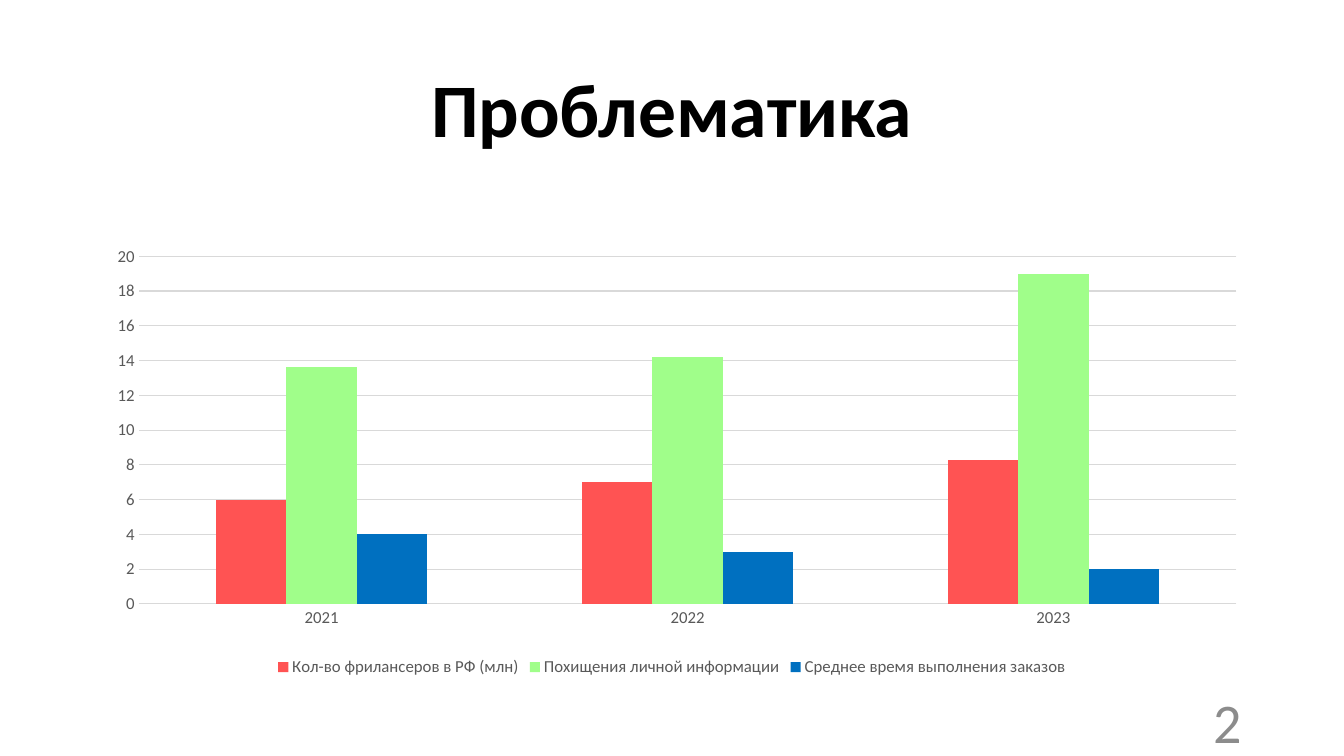
from dataclasses import dataclass

from lxml import etree
from pptx import Presentation
from pptx import util as u
from pptx.chart.data import CategoryChartData
from pptx.dml.color import RGBColor
from pptx.enum import chart as ch, text
from pptx.oxml import ns


@dataclass(frozen=True)
class Theme:
    font: str = "Calibri"
    title_size: int = 54
    number_size: int = 40
    label_size: int = 12
    ink: str = "000000"
    label: str = "595959"
    number: str = "8C8C8C"
    grid: str = "D9D9D9"
    series: tuple = ("FF5353", "A0FE8A", "0070C0")


class SlideBuilder:
    def __init__(self, slide, theme):
        self.slide = slide
        self.theme = theme

    def style_font(self, font, size, color, bold=False):
        font.name = self.theme.font
        font.size = u.Pt(size)
        font.bold = bold
        font.color.rgb = RGBColor.from_string(color)

    def style_line(self, line):
        line.color.rgb = RGBColor.from_string(self.theme.grid)
        line.width = u.Pt(0.75)

    def add_text(self, box, words, size, color, align, bold=False, spacing=1.0):
        frame = self.slide.shapes.add_textbox(*map(u.Pt, box)).text_frame
        frame.word_wrap = True
        frame.vertical_anchor = text.MSO_ANCHOR.MIDDLE
        paragraph = frame.paragraphs[0]
        paragraph.alignment = align
        paragraph.line_spacing = spacing
        run = paragraph.add_run()
        run.text = words
        self.style_font(run.font, size, color, bold)

    def add_columns(self, box, years, measures, plot_area):
        theme = self.theme
        data = CategoryChartData()
        data.categories = years
        for name, values in measures.items():
            data.add_series(name, values)
        chart = self.slide.shapes.add_chart(
            ch.XL_CHART_TYPE.COLUMN_CLUSTERED, *map(u.Pt, box), data).chart
        chart.has_title = False
        self.style_font(chart.font, theme.label_size, theme.label)

        # Columns
        columns = chart.plots[0]
        columns.gap_width = 219
        columns.vary_by_categories = False
        for measure, color in zip(columns.series, theme.series):
            measure.format.fill.solid()
            measure.format.fill.fore_color.rgb = RGBColor.from_string(color)

        # Axes and grid
        for axis in (chart.category_axis, chart.value_axis):
            axis.major_tick_mark = axis.minor_tick_mark = ch.XL_TICK_MARK.NONE
            self.style_font(axis.tick_labels.font, theme.label_size, theme.label)
        self.style_line(chart.category_axis.format.line)
        scale = chart.value_axis
        scale.minimum_scale, scale.maximum_scale, scale.major_unit = 0, 20, 2
        scale.format.line.fill.background()
        scale.has_major_gridlines = True
        self.style_line(scale.major_gridlines.format.line)

        # Legend
        chart.has_legend = True
        chart.legend.position = ch.XL_LEGEND_POSITION.BOTTOM
        chart.legend.include_in_layout = False
        self.style_font(chart.legend.font, theme.label_size, theme.label)

        self.place_plot(chart, plot_area)

    def place_plot(self, chart, fractions):
        plot_area = chart.element.find(".//" + ns.qn("c:plotArea"))
        for old in plot_area.findall(ns.qn("c:layout")):
            plot_area.remove(old)
        layout = etree.Element(ns.qn("c:layout"))
        plot_area.insert(0, layout)
        manual = etree.SubElement(layout, ns.qn("c:manualLayout"))
        settings = [("layoutTarget", "inner"), ("xMode", "edge"), ("yMode", "edge")]
        settings += zip("xywh", fractions)
        for tag, value in settings:
            etree.SubElement(manual, ns.qn("c:" + tag)).set("val", str(value))


def main():
    deck = Presentation()
    deck.slide_width, deck.slide_height = u.Pt(960), u.Pt(540)
    theme = Theme()
    builder = SlideBuilder(deck.slides.add_slide(deck.slide_layouts[6]), theme)
    left, width = 66, 828

    # Title
    builder.add_text((left, 28.75, width, 104.4), "Проблематика", theme.title_size,
                     theme.ink, text.PP_ALIGN.CENTER, bold=True, spacing=0.9)

    # Freelance market by year
    builder.add_columns(
        (left, 144, width, 342.6),
        ["2021", "2022", "2023"],
        {
            "Кол-во фрилансеров в РФ (млн)": (6, 7, 8.3),
            "Похищения личной информации": (13.6, 14.2, 19),
            "Среднее время выполнения заказов": (4, 3, 2),
        },
        plot_area=(0.04, 0.114, 0.947, 0.725))

    # Slide number
    builder.add_text((left + width - 216, 500.5, 216, 28.75), "2", theme.number_size,
                     theme.number, text.PP_ALIGN.RIGHT)

    deck.save("out.pptx")


if __name__ == "__main__":
    main()
